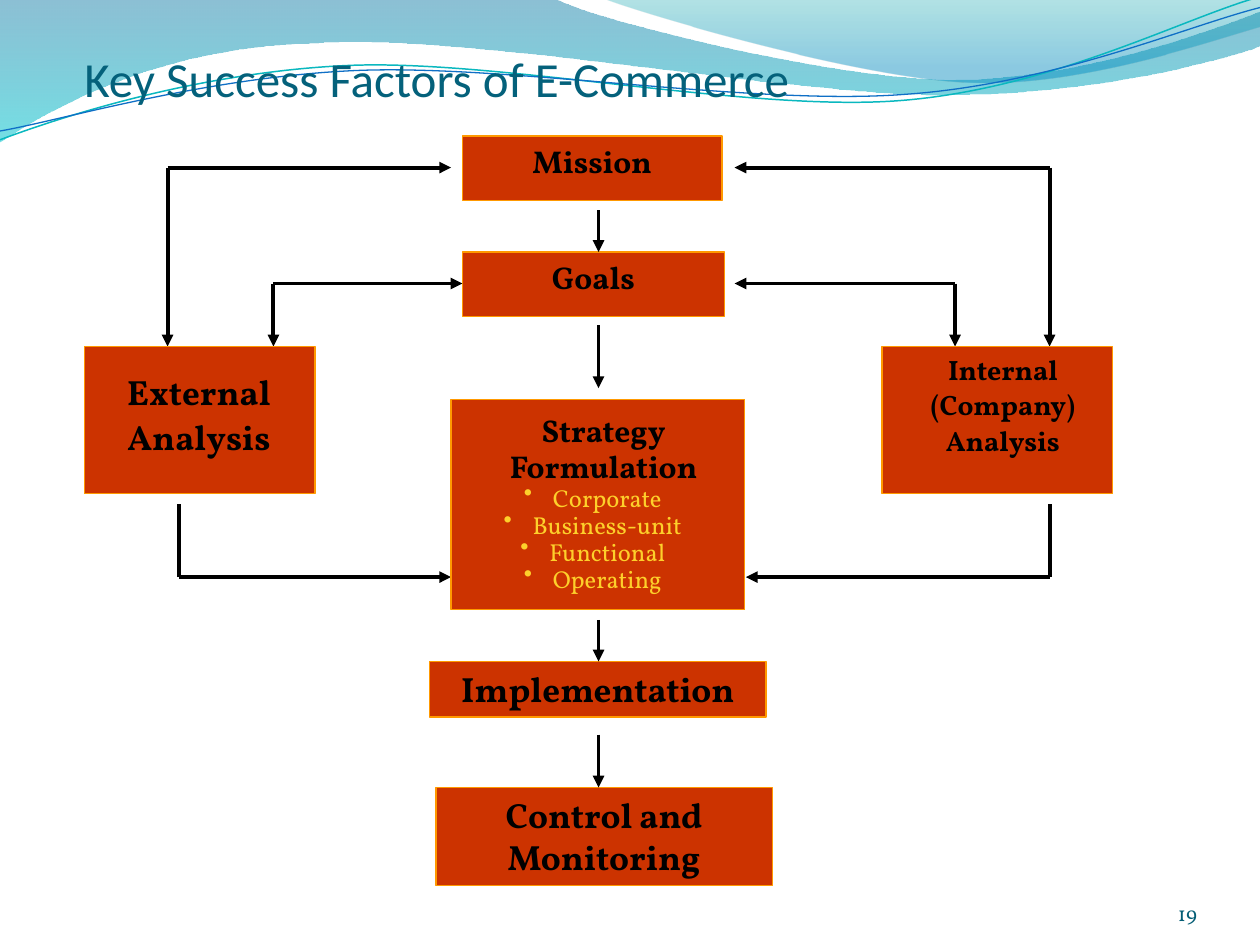
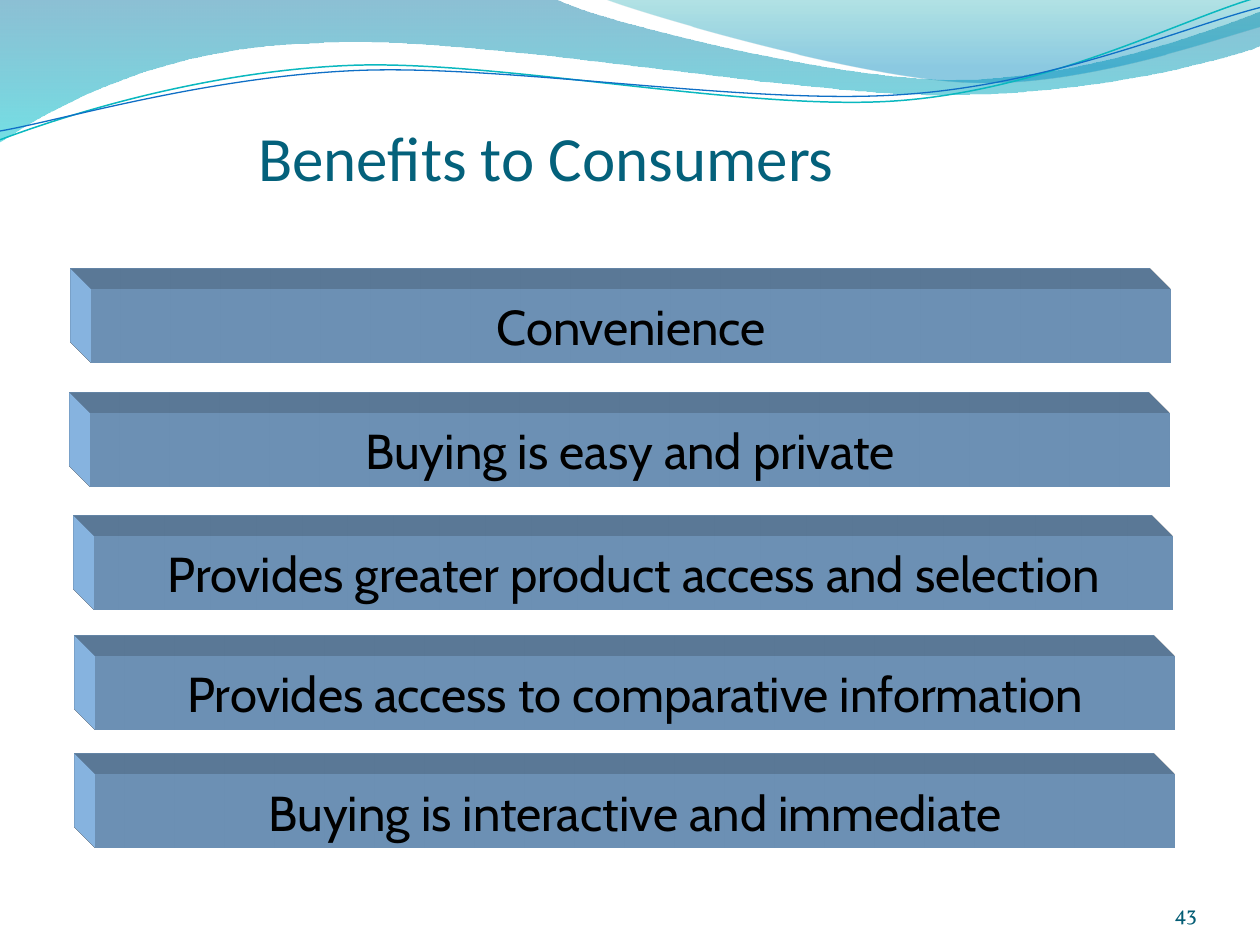
from dataclasses import dataclass

from lxml.etree import SubElement
from pptx import Presentation
from pptx.dml.color import RGBColor as Rgb
from pptx.enum.shapes import MSO_CONNECTOR as Conn, MSO_SHAPE as Kind
from pptx.enum.text import MSO_ANCHOR as Anchor, MSO_AUTO_SIZE as Fit, PP_ALIGN as Align
from pptx.oxml import parse_xml
from pptx.oxml.ns import nsdecls, qn
from pptx.util import Inches, Pt


@dataclass(frozen=True)
class Theme:
    title: str = "04617B"
    number: str = "045D75"
    ink: str = "000000"
    box: str = "CC3300"
    edge: str = "FF9900"
    gold: str = "FDD02B"
    block: str = "99CCFF"
    head: str = "Calibri"
    body: str = "Vollkorn"
    bar: str = "Cabin"
    big: int = 36
    mid: int = 28
    large: int = 20
    norm: int = 18
    small: int = 16
    item: int = 14
    tiny: int = 12


T = Theme()

# Waves: start point, then segments of two (line) or six (curve) numbers
BAND = [(0, 0), (4.4, -0.01), (4.76, 0.17, 6.64, 0.63, 7.58, 0.63),
        (8.53, 0.63, 9.58, 0.26, 10, 0.09), (10.01, 0.36),
        (9.83, 0.44, 8.7, 0.76, 7.46, 0.75), (6.22, 0.75, 3.82, 0.28, 2.57, 0.34),
        (1.29, 0.36, 0.46, 0.83, -0.01, 1.13)]
CREST = [(4.79, -0.01), (5.09, 0.11, 6.82, 0.62, 7.69, 0.65),
         (8.56, 0.69, 9.61, 0.32, 10, 0.21), (10, 0)]
TEAL = [(0, 1.11), (0.48, 0.93, 1.58, 0.57, 2.77, 0.52),
        (3.95, 0.47, 5.93, 0.89, 7.13, 0.8), (8.33, 0.71, 9.38, 0.15, 9.98, -0.02)]
BLUE = [(0, 1.04), (0.47, 0.96, 1.64, 0.61, 2.83, 0.56),
        (4.03, 0.51, 5.97, 0.84, 7.17, 0.75), (8.36, 0.67, 9.41, 0.21, 10, 0.06)]


def inch(*nums):
    return [Inches(n) for n in nums]


def write(shape, text, font=T.body, size=T.norm, color=T.ink, bold=False,
          align=Align.CENTER, anchor=Anchor.TOP, inset=None, fit=Fit.SHAPE_TO_FIT_TEXT,
          lines=None, before=None, bullet=None, indent=0, more=False):
    """Fill a shape with one paragraph per line of text."""
    frame = shape.text_frame
    frame.word_wrap, frame.auto_size, frame.vertical_anchor = True, fit, anchor
    if inset:
        (frame.margin_left, frame.margin_top,
         frame.margin_right, frame.margin_bottom) = inch(*inset)
    for i, line in enumerate(text.split("\n")):
        para = frame.add_paragraph() if more or i else frame.paragraphs[0]
        para.alignment = align
        if lines:
            para.line_spacing = lines
        props = para._p.get_or_add_pPr()
        if before:
            space = SubElement(props, qn("a:spcBef"))
            SubElement(space, qn("a:spcPct"), val=str(before * 1000))
        if indent:
            props.set("marL", str(Inches(indent)))
        if bullet:
            props.set("indent", str(-Inches(indent)))
            props.set("marR", str(Inches(0.17)))
            SubElement(props, qn("a:buFontTx"))
            SubElement(props, qn("a:buChar"), char=bullet)
        run = para.add_run()
        run.text = line
        run.font.name, run.font.size, run.font.bold = font, Pt(size), bold
        run.font.color.rgb = Rgb.from_string(color)


def paint(shape, fill=None, line=None, width=0.75):
    shape.shadow.inherit = False
    if fill:
        shape.fill.solid()
        shape.fill.fore_color.rgb = Rgb.from_string(fill)
    if line:
        shape.line.color.rgb = Rgb.from_string(line)
        shape.line.width = Pt(width)
    else:
        shape.line.fill.background()
    return shape


def rect(slide, x, y, w, h, fill, line=None):
    return paint(slide.shapes.add_shape(Kind.RECTANGLE, *inch(x, y, w, h)), fill, line)


def label(slide, x, y, w, h, text, **fmt):
    shape = slide.shapes.add_textbox(*inch(x, y, w, h))
    write(shape, text, **fmt)
    return shape


def sweep(slide, path, close=True):
    """Build a freeform through the knots, then bend its curved segments."""
    start, *rest = [inch(*seg[-2:]) for seg in path]
    maker = slide.shapes.build_freeform(*start, scale=1.0)
    maker.add_line_segments(rest, close=close)
    shape = maker.convert_to_shape()
    track = next(shape.element.iter(qn("a:path")))
    for seg, step in zip(path, list(track)):
        if len(seg) == 6:
            bend = track.makeelement(qn("a:cubicBezTo"))
            for x, y in zip(inch(*seg[::2]), inch(*seg[1::2])):
                SubElement(bend, qn("a:pt"), x=str(x - shape.left), y=str(y - shape.top))
            track.replace(step, bend)
    return shape


def arrow(slide, start, end, head=True):
    line = slide.shapes.add_connector(Conn.STRAIGHT, *inch(*start, *end))
    line.line.color.rgb = Rgb.from_string(T.ink)
    line.line.width = Pt(2.25)
    if head:
        SubElement(line.line._get_or_add_ln(), qn("a:tailEnd"), type="triangle")
    SubElement(line.element.spPr, qn("a:effectLst"))


def waves(slide, layout):
    """Draw the shared waves and move them to the layout."""
    parts = []
    for path, stops in ((BAND, [(0, "0074A1", 45), (100, "00C6CF", 55)]),
                        (CREST, [(0, "00A1A9", 30), (80, "008BBF", 45)])):
        wave = sweep(slide, path)
        marks = "".join(
            f'<a:gs pos="{pos * 1000}"><a:srgbClr val="{color}">'
            f'<a:alpha val="{alpha * 1000}"/></a:srgbClr></a:gs>'
            for pos, color, alpha in stops)
        wave.element.spPr.append(parse_xml(
            f'<a:gradFill {nsdecls("a")} rotWithShape="1"><a:gsLst>{marks}</a:gsLst>'
            '<a:lin ang="5400000" scaled="0"/></a:gradFill>'))
        parts.append(paint(wave))
    for path, color, width in ((TEAL, "0AB8BF", 0.85), (BLUE, "0F6FC6", 0.75)):
        curve = sweep(slide, path, close=False)
        curve.fill.background()
        parts.append(paint(curve, line=color, width=width))
    for i, part in enumerate(parts):
        layout.shapes.element.insert(2 + i, part.element)


def page(deck, box, text, size, number, indent=0):
    """Add a slide with its title and page number."""
    slide = deck.slides.add_slide(deck.slide_layouts[5])
    title = slide.shapes.title
    title.left, title.top, title.width, title.height = inch(*box)
    write(title, text, font=T.head, size=size, color=T.title, align=Align.LEFT,
          anchor=Anchor.BOTTOM, inset=(0, 0.05, 0, 0), fit=Fit.NONE, indent=indent)
    label(slide, 8.67, 6.95, 0.83, 0.4, number, size=T.tiny, color=T.number,
          align=Align.RIGHT, anchor=Anchor.BOTTOM, inset=(0, 0, 0, 0), fit=Fit.NONE)
    return slide


def flow(slide, left, top):
    """Strategy flow chart, placed from its top left corner."""
    def at(x, y):
        return left + x, top + y

    # Steps with their own text
    for x, y, w, h, text, size in (
            (3, 0, 2.06, 0.51, "Mission", T.norm),
            (3, 0.92, 2.08, 0.51, "Goals", T.norm),
            (2.74, 4.17, 2.67, 0.44, "Implementation", T.large),
            (2.79, 5.17, 2.67, 0.78, "Control and Monitoring", T.large)):
        write(rect(slide, *at(x, y), w, h, T.box, T.edge), text,
              size=size, bold=True, before=50)

    # Arrows down the middle
    for y, end in ((0.59, 0.92), (1.5, 2), (3.84, 4.17), (4.75, 5.17)):
        arrow(slide, at(4.08, y), at(4.08, end))

    # Elbows: corner, inner end, outer end, head on the outer end
    for x, y, inner, outer, head in (
            (0.66, 0.25, 2.91, 1.67, True), (7.66, 0.25, 5.16, 1.67, True),
            (1.5, 1.17, 3, 1.67, True), (6.91, 1.17, 5.16, 1.67, True),
            (0.75, 3.5, 2.91, 2.92, False), (7.66, 3.5, 5.25, 2.92, False)):
        arrow(slide, at(x, y), at(inner, y))
        arrow(slide, at(x, y), at(x, outer), head)

    # Panels with text laid over them
    for x, y, w, h in ((2.91, 2.09, 2.33, 1.67), (0, 1.67, 1.83, 1.17),
                       (6.33, 1.67, 1.83, 1.17)):
        rect(slide, *at(x, y), w, h, T.box, T.edge)
    bold = dict(bold=True, before=50)
    plan = label(slide, *at(3.08, 2.25), 2.08, 1.51, "Strategy\nFormulation",
                 lines=0.55, **bold)
    write(plan, "Corporate\nBusiness-unit\nFunctional\nOperating", size=T.item,
          color=T.gold, lines=0.5, before=50, bullet="•", indent=0.23, more=True)
    label(slide, *at(0.16, 1.92), 1.5, 0.7, "External\nAnalysis",
          size=T.large, lines=0.65, **bold)
    label(slide, *at(6.5, 1.75), 1.58, 0.9, "Internal\n(Company)\nAnalysis",
          size=T.small, lines=0.65, **bold)


def block(slide, x, y, w, h, text):
    """Bar extruded up and to the left."""
    bar = rect(slide, x, y, w, h, T.block)
    write(bar, text, font=T.bar, size=T.mid, anchor=Anchor.MIDDLE)
    props = bar.element.spPr
    props.append(parse_xml(
        f'<a:scene3d {nsdecls("a")}><a:camera prst="legacyObliqueTopLeft"/>'
        '<a:lightRig rig="legacyFlat3" dir="t"/></a:scene3d>'))
    props.append(parse_xml(
        f'<a:sp3d {nsdecls("a")} extrusionH="430200" prstMaterial="legacyMatte">'
        f'<a:extrusionClr><a:srgbClr val="{T.block}"/></a:extrusionClr></a:sp3d>'))


def gains(slide, left, top):
    """Stack of bars, placed from the first bar's front face."""
    for x, y, text in (
            (0.01, 0, "Convenience"),
            (0, 0.98, "Buying is easy and private"),
            (0.03, 1.96, "Provides greater product access and selection"),
            (0.04, 2.91, "Provides access to comparative information"),
            (0.04, 3.85, "Buying is interactive and immediate")):
        block(slide, left + x, top + y, 8.56, 0.58, text)


def main():
    deck = Presentation()
    deck.slide_width, deck.slide_height = inch(10, 7.5)
    first = page(deck, (0.67, 0.21, 8.84, 0.64),
                 "Key Success Factors of E-Commerce", T.mid, "19")
    waves(first, deck.slide_layouts[5])
    flow(first, 0.67, 1.08)
    second = page(deck, (0.58, 0.2, 9, 1.34), "Benefits to Consumers", T.big, "43",
                  indent=1.47)
    gains(second, 0.72, 2.3)
    deck.save("out.pptx")


if __name__ == "__main__":
    main()
